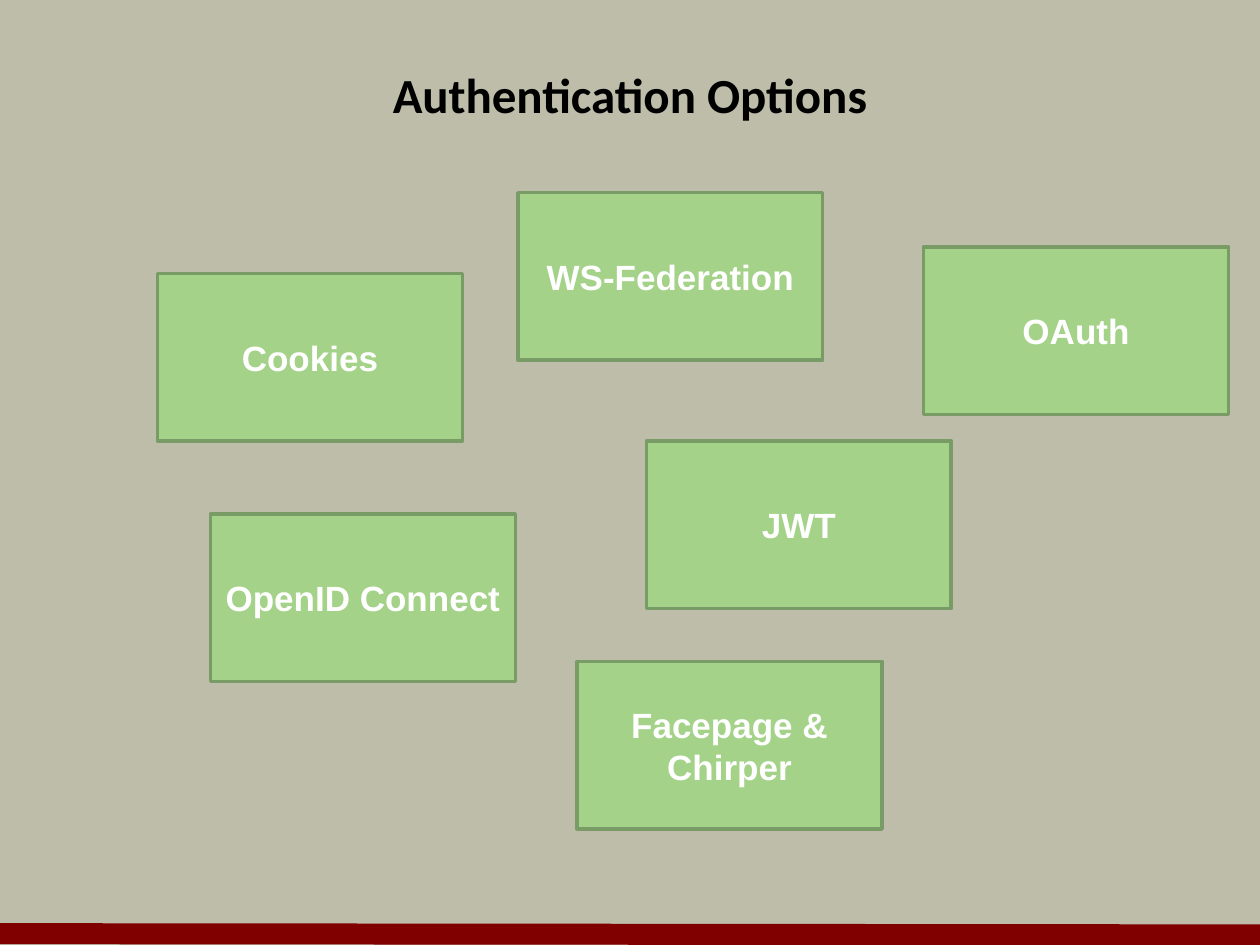
from lxml import etree
from pptx import Presentation
from pptx.dml.color import RGBColor
from pptx.enum.shapes import MSO_CONNECTOR, MSO_SHAPE
from pptx.enum.text import MSO_ANCHOR, PP_ALIGN
from pptx.oxml.ns import qn
from pptx.util import Inches, Pt

COLORS = {
    "back": "BDBDA9",
    "bar": "800000",
    "title": "000000",
    "card": "A4D289",
    "edge": "799B65",
    "label": "FFFFFF",
}
CARD_W, CARD_H = 2.42, 1.33
OPTIONS = [
    ("Cookies", 1.25, 2.17),
    ("OpenID Connect", 1.67, 4.08),
    ("WS-Federation", 4.11, 1.53),
    ("JWT", 5.13, 3.5),
    ("Facepage &\nChirper", 4.58, 5.25),
    ("OAuth", 7.33, 1.96),
]


def color(name):
    return RGBColor.from_string(COLORS[name])


def write(frame, text, face, size, ink):
    """Fill a text frame with bold, centred paragraphs."""
    frame.vertical_anchor = MSO_ANCHOR.MIDDLE
    frame.text = text
    for par in frame.paragraphs:
        par.alignment = PP_ALIGN.CENTER
        par.font.name = face
        par.font.size = Pt(size)
        par.font.bold = True
        par.font.color.rgb = color(ink)


def add_bar(slide, left, top, width):
    bar = slide.shapes.add_connector(
        MSO_CONNECTOR.STRAIGHT, Inches(left), Inches(top),
        Inches(left + width), Inches(top + 0.01))
    bar.line.color.rgb = color("bar")
    bar.line.width = Pt(12)
    etree.SubElement(bar._element.spPr, qn("a:effectLst"))


def add_title(slide, left, top, width, height):
    box = slide.shapes.add_textbox(
        Inches(left), Inches(top), Inches(width), Inches(height))
    box.text_frame.word_wrap = True
    write(box.text_frame, "Authentication Options", "Calibri", 28, "title")


def add_card(slide, text, left, top):
    card = slide.shapes.add_shape(
        MSO_SHAPE.RECTANGLE, Inches(left), Inches(top),
        Inches(CARD_W), Inches(CARD_H))
    card.shadow.inherit = False
    card.fill.solid()
    card.fill.fore_color.rgb = color("card")
    card.line.color.rgb = color("edge")
    card.line.width = Pt(2)
    card.text_frame.word_wrap = False
    write(card.text_frame, text, "Arial", 20, "label")


def main():
    deck = Presentation()
    deck.slide_width, deck.slide_height = Inches(10), Inches(7.5)
    slide = deck.slides.add_slide(deck.slide_layouts[6])
    slide.background.fill.solid()
    slide.background.fill.fore_color.rgb = color("back")
    add_bar(slide, 0, 7.41, 10)
    add_title(slide, 0.5, 0.33, 9, 0.83)
    for text, left, top in OPTIONS:
        add_card(slide, text, left, top)
    deck.save("out.pptx")


if __name__ == "__main__":
    main()
